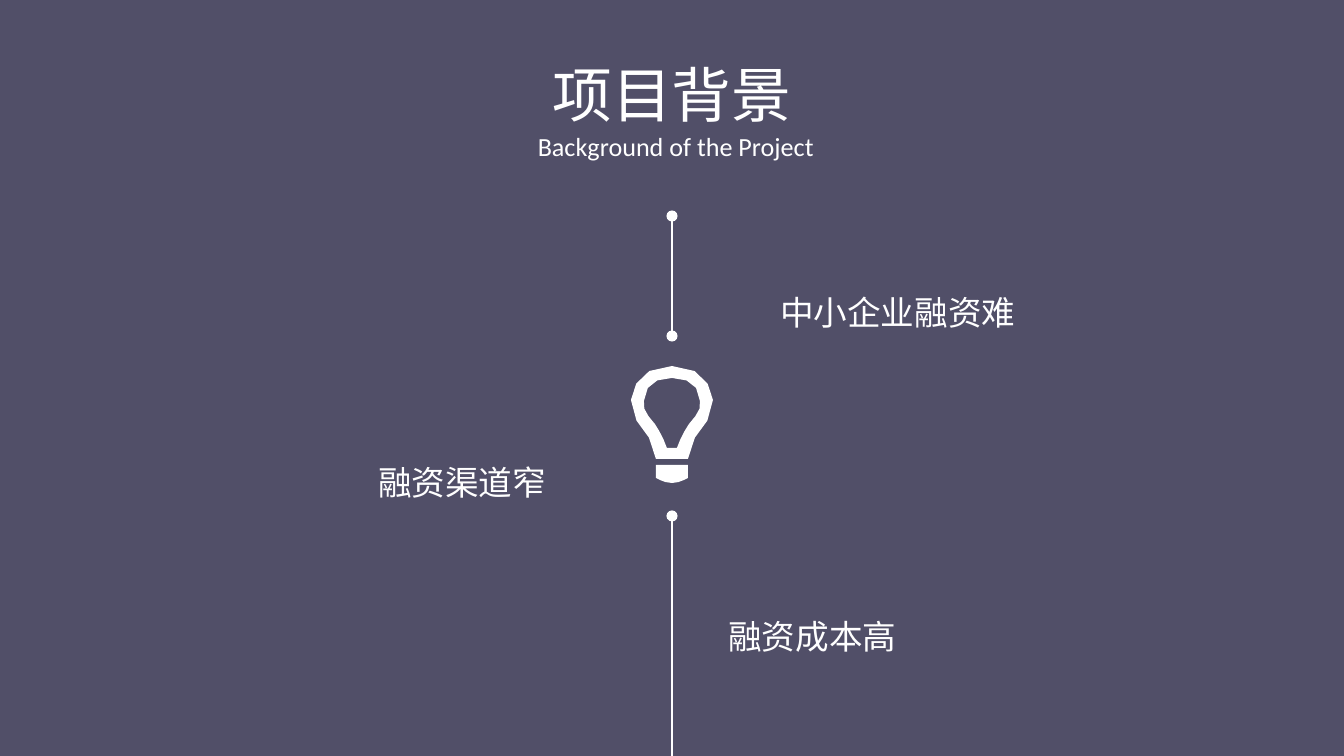
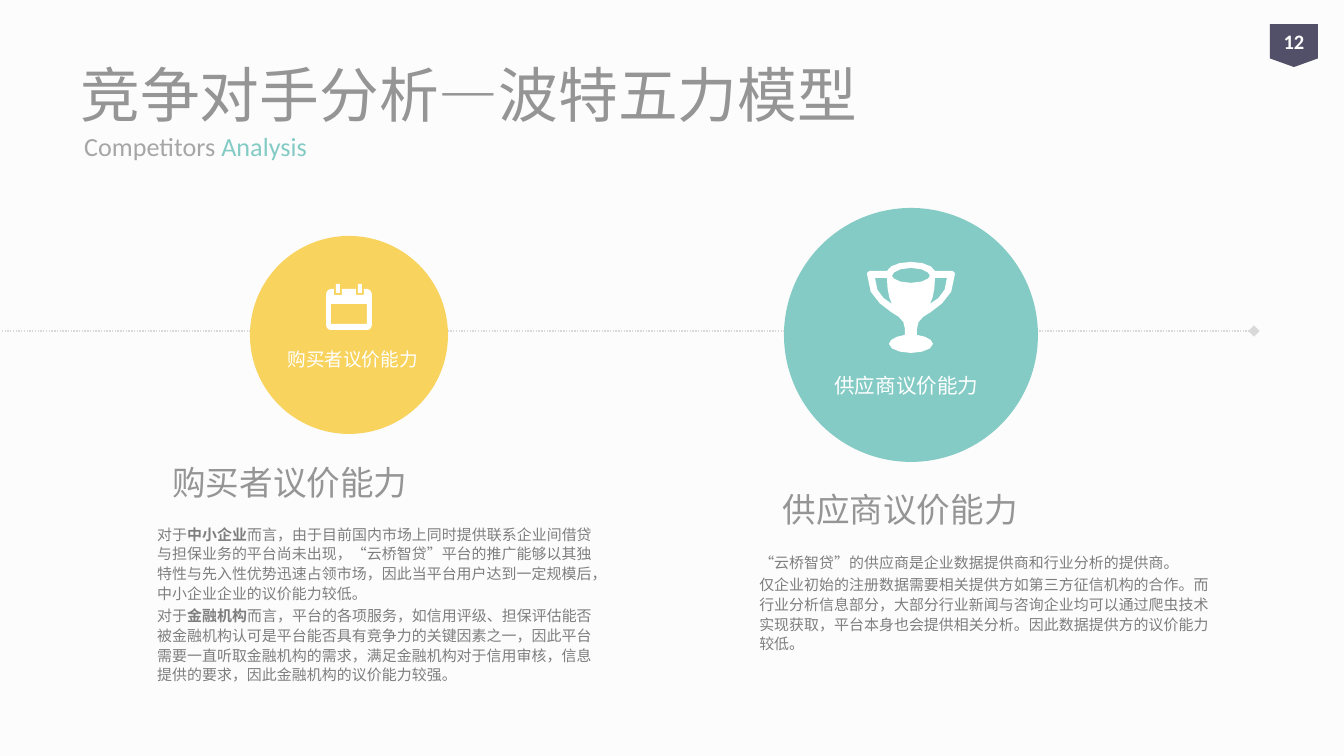
import pptx
import pptx.util
import pptx.dml.color
import pptx.enum.dml
import pptx.enum.shapes
import pptx.enum.text
import pptx.oxml.ns
import lxml.etree

RGB = pptx.dml.color.RGBColor
SHAPE = pptx.enum.shapes.MSO_SHAPE
ALIGN = pptx.enum.text.PP_ALIGN
ANCHOR = pptx.enum.text.MSO_ANCHOR

# Shared look
WHITE = RGB(0xFF, 0xFF, 0xFF)
PAPER = RGB(0xFC, 0xFC, 0xFC)
PURPLE = RGB(0x51, 0x4F, 0x68)
BADGE = RGB(0x52, 0x50, 0x68)
TEAL = RGB(0x84, 0xCB, 0xC5)
YELLOW = RGB(0xF8, 0xD3, 0x5E)
HEADING = RGB(0x95, 0x95, 0x95)
SUBTITLE = RGB(0xA6, 0xA6, 0xA6)
BODY = RGB(0x7E, 0x7E, 0x7E)
RULE = RGB(0xD9, 0xD9, 0xD9)

CHINESE = "Noto Sans CJK SC"
LATIN = "Calibri"
PX_PER_INCH = 134.4
PAGE_WIDTH, PAGE_HEIGHT = 1344, 756
TITLE_BOX = (67, 31, 1210, 126)
SUBTITLE_BOX = (71, 119, 1210, 54)
CURVE_STEPS = 3

# Icons are symmetric: "halves" are right halves joined to their mirror,
# "sides" are closed outlines repeated on the left. Each outline is a start
# point and its segments: one point is a line, three points are a curve.
BULB = {
    "halves": [
        [(0, 117), [(7, 117), (12, 114), (16, 112)], [(16, 99)]],
        [(16, 93), [(16, 67), (43, 59), (41, 34)], [(39, 17), (28, 0), (0, 0)]],
        [(0, 12), [(17, 12), (27, 19), (28, 35)], [(30, 43), (24, 50), (17, 58)],
         [(13, 64), (8, 73), (5, 82)]],
    ],
    "sides": [],
}
TROPHY = {
    "halves": [
        [(0, 0), [(13, 0), (22, 4), (24, 9)], [(40, 9)],
         [(42, 9), (44, 10), (44, 12)], [(44, 34), (31, 42), (20, 50)],
         [(11, 55), (6, 59), (6, 67)], [(6, 73)],
         [(15, 74), (22, 78), (22, 82)], [(22, 87), (12, 91), (0, 91)]],
        [(0, 6), [(13, 6), (19, 11), (19, 14)], [(19, 16), (13, 21), (0, 21)]],
    ],
    "sides": [
        [(19, 42), [(22, 37), (24, 27), (24, 16)], [(36, 16)],
         [(36, 30), (28, 37), (19, 42)]],
    ],
}
CALENDAR = {
    "halves": [
        [(0, 5), [(7, 5)], [(7, 11)], [(15, 11)], [(15, 5)], [(18, 5)],
         [(21, 5), (23, 8), (23, 11)], [(23, 40)],
         [(23, 44), (21, 46), (18, 46)], [(0, 46)]],
        [(0, 20), [(18, 20)], [(18, 40)], [(0, 40)]],
    ],
    "sides": [[(9, 0), [(13, 0)], [(13, 9)], [(9, 9)]]],
}


def px(length):
    return pptx.util.Emu(round(length * 914400 / PX_PER_INCH))


def look(size, color, name=CHINESE, bold=False):
    return {"size": pptx.util.Pt(size), "name": name, "bold": bold, "color": color}


def format_span(span, style):
    for key, value in style.items():
        if key == "color":
            span.font.color.rgb = value
        else:
            setattr(span.font, key, value)
    east_asian = lxml.etree.SubElement(span.font._element, pptx.oxml.ns.qn("a:ea"))
    east_asian.set("typeface", style["name"])


def write(frame, paragraphs, frame_format=None, **para_format):
    """Fill a text frame; each paragraph is a list of (text, style) spans."""
    settings = {"word_wrap": True, "vertical_anchor": ANCHOR.MIDDLE,
                "auto_size": pptx.enum.text.MSO_AUTO_SIZE.NONE}
    settings.update(frame_format or {})
    for key, value in settings.items():
        setattr(frame, key, value)
    for index, spans in enumerate(paragraphs):
        para = frame.add_paragraph() if index else frame.paragraphs[0]
        for key, value in para_format.items():
            setattr(para, key, value)
        for text, style in spans:
            span = para.add_run()
            span.text = text
            format_span(span, style)


def add_text(page, area, paragraphs, frame_format=None, **para_format):
    box = page.shapes.add_textbox(*map(px, area))
    write(box.text_frame, paragraphs, frame_format, **para_format)


def add_page(deck, background, title, title_color, subtitle, alignment):
    page = deck.slides.add_slide(deck.slide_layouts[5])
    page.background.fill.solid()
    page.background.fill.fore_color.rgb = background
    heading = page.shapes.title
    heading.left, heading.top, heading.width, heading.height = map(px, TITLE_BOX)
    write(heading.text_frame, [[(title, look(32, title_color))]], alignment=alignment)
    add_text(page, SUBTITLE_BOX, [subtitle], alignment=alignment)
    return page


def paint(shape, color):
    shape.shadow.inherit = False
    shape.fill.solid()
    shape.fill.fore_color.rgb = color
    shape.line.fill.background()


def add_filled(page, kind, area, color):
    shape = page.shapes.add_shape(kind, *map(px, area))
    paint(shape, color)
    return shape


def add_rule(page, start, end, color, dash=None, **tips):
    rule = page.shapes.add_connector(
        pptx.enum.shapes.MSO_CONNECTOR.STRAIGHT, *map(px, start + end))
    rule.line.color.rgb = color
    rule.line.width = pptx.util.Pt(0.75)
    if dash:
        rule.line.dash_style = dash
    properties = rule._element.spPr
    line = properties.find(pptx.oxml.ns.qn("a:ln"))
    for end_name in ("headEnd", "tailEnd"):
        if end_name in tips:
            tip = lxml.etree.SubElement(line, pptx.oxml.ns.qn("a:" + end_name))
            tip.set("type", tips[end_name])
    lxml.etree.SubElement(properties, pptx.oxml.ns.qn("a:effectLst"))


def trace(outline):
    """Turn lines and cubic curves into a list of points."""
    points = [outline[0]]
    for segment in outline[1:]:
        if len(segment) == 1:
            points += segment
            continue
        corners = [points[-1]] + segment
        for step in range(1, CURVE_STEPS + 1):
            t = step / CURVE_STEPS
            weights = ((1 - t) ** 3, 3 * t * (1 - t) ** 2, 3 * t * t * (1 - t), t ** 3)
            points.append(tuple(
                sum(weight * corner[axis] for weight, corner in zip(weights, corners))
                for axis in (0, 1)))
    return points


def mirror(points):
    return [(-x, y) for x, y in reversed(points)]


def add_icon(page, icon, center, top):
    contours = []
    for half in map(trace, icon["halves"]):
        contours.append(half + mirror([point for point in half if point[0]]))
    for side in map(trace, icon["sides"]):
        contours += [side, mirror(side)]
    contours = [[(px(center + x), px(top + y)) for x, y in contour]
                for contour in contours]
    builder = page.shapes.build_freeform(*contours[0][0])
    for index, contour in enumerate(contours):
        if index:
            builder.move_to(*contour[0])
        builder.add_line_segments(contour[1:], close=True)
    paint(builder.convert_to_shape(), WHITE)


def build_background_page(deck):
    page = add_page(deck, PURPLE, "项目背景", WHITE,
                    [("Background of the Project", look(14, WHITE, LATIN))],
                    ALIGN.CENTER)
    # Central line and bulb
    middle = PAGE_WIDTH // 2
    add_rule(page, (middle, 216), (middle, 336), WHITE, headEnd="oval", tailEnd="oval")
    add_rule(page, (middle, 516), (middle, PAGE_HEIGHT), WHITE, headEnd="oval")
    add_icon(page, BULB, middle, 366)
    # Problems around the line
    for text, left, top, width in (("中小企业融资难", 767, 280, 423),
                                   ("融资渠道窄", 365, 450, 202),
                                   ("融资成本高", 715, 604, 206)):
        add_text(page, (left, top, width, 64), [[(text, look(18, WHITE))]])


def build_competitors_page(deck):
    page = add_page(deck, PAPER, "竞争对手分析—波特五力模型", HEADING,
                    [("Competitors ", look(14, SUBTITLE, LATIN)),
                     ("Analysis", look(14, TEAL, LATIN))], ALIGN.LEFT)
    # Timeline that bleeds off the left edge
    add_rule(page, (-47, 331), (1254, 331), RULE, pptx.enum.dml.MSO_LINE.ROUND_DOT,
             headEnd="diamond", tailEnd="diamond")
    buyers, suppliers = "购买者议价能力", "供应商议价能力"

    # Circles with icons
    circle = add_filled(page, SHAPE.OVAL, (784, 208, 254, 254), TEAL)
    write(circle.text_frame, [[(suppliers, look(11, WHITE))]],
          {"margin_top": px(108)}, alignment=ALIGN.LEFT)
    add_icon(page, TROPHY, 911, 262)
    add_filled(page, SHAPE.OVAL, (250, 236, 198, 198), YELLOW)
    add_icon(page, CALENDAR, 349, 284)
    add_text(page, (273, 295, 159, 82), [[(buyers, look(10, WHITE))]],
             {"word_wrap": False, "vertical_anchor": ANCHOR.BOTTOM},
             alignment=ALIGN.CENTER)

    # Headings and explanations
    plain, strong = look(8, BODY), look(8, BODY, bold=True)
    buyer_text = [
        [("对于", plain), ("中小企业", strong),
         ("而言，由于目前国内市场上同时提供联系企业间借贷与担保业务的平台尚未出现，"
          "“云桥智贷”平台的推广能够以其独特性与先入性优势迅速占领市场，"
          "因此当平台用户达到一定规模后，中小企业企业的议价能力较低。", plain)],
        [("对于", plain), ("金融机构", strong),
         ("而言，平台的各项服务，如信用评级、担保评估能否被金融机构认可是平台能否具有"
          "竞争力的关键因素之一，因此平台需要一直听取金融机构的需求，满足金融机构对于"
          "信用审核，信息提供的要求，因此金融机构的议价能力较强。", plain)],
    ]
    supplier_text = [
        [("“云桥智贷”的供应商是企业数据提供商和行业分析的提供商。", plain)],
        [("仅企业初始的注册数据需要相关提供方如第三方征信机构的合作。而行业分析信息部分，"
          "大部分行业新闻与咨询企业均可以通过爬虫技术实现获取，平台本身也会提供相关分析。"
          "因此数据提供方的议价能力较低。", plain)],
    ]
    for heading, heading_left, heading_top, text, left, top, width in (
            (buyers, 136, 455, buyer_text, 144, 517, 469),
            (suppliers, 746, 482, supplier_text, 746, 545, 480)):
        add_text(page, (left, top, width, 108), text, {"vertical_anchor": ANCHOR.TOP},
                 line_spacing=1.1, space_before=pptx.util.Pt(1.6))
        add_text(page, (heading_left, heading_top, 308, 54),
                 [[(heading, look(18, HEADING))]], alignment=ALIGN.CENTER)

    # Page number
    badge = add_filled(page, SHAPE.FLOWCHART_OFFPAGE_CONNECTOR, (1270, 24, 48, 43), BADGE)
    margins = dict.fromkeys(("margin_left", "margin_right", "margin_top", "margin_bottom"), 0)
    write(badge.text_frame, [[("12", look(11, WHITE, LATIN, True))]], margins,
          alignment=ALIGN.CENTER)


def main():
    deck = pptx.Presentation()
    deck.slide_width, deck.slide_height = px(PAGE_WIDTH), px(PAGE_HEIGHT)
    build_background_page(deck)
    build_competitors_page(deck)
    deck.save("out.pptx")


if __name__ == "__main__":
    main()
